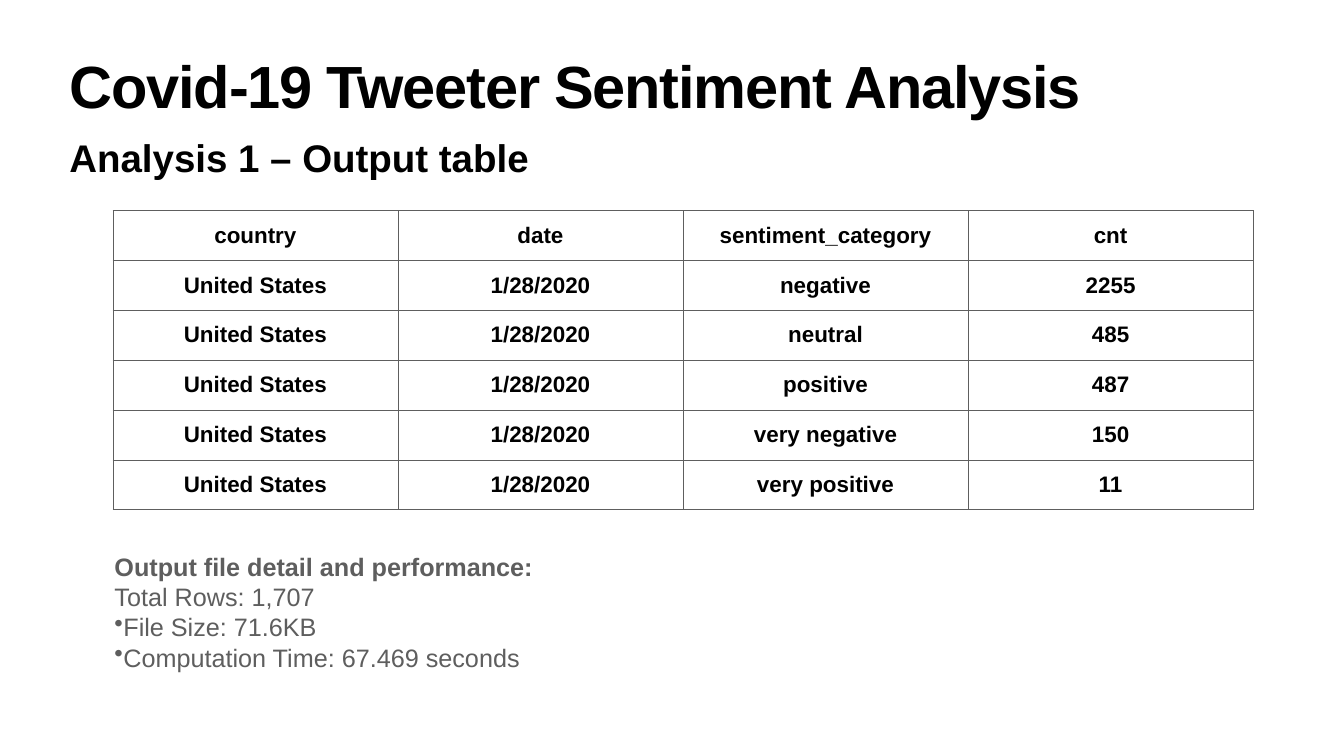
import pptx
import pptx.util
import pptx.dml.color
import pptx.enum.text
import pptx.oxml
import pptx.oxml.ns

PX = 9525
THEME = {
    "font": "Arial",
    "ink": pptx.dml.color.RGBColor.from_string("000000"),
    "grey": pptx.dml.color.RGBColor.from_string("5E5E5E"),
    "title": 85,
    "subtitle": 55,
    "cell": 32,
    "detail": 36,
}
MIDDLE = pptx.enum.text.MSO_ANCHOR.MIDDLE
TOP = pptx.enum.text.MSO_ANCHOR.TOP


def style(paragraph, size, color, bold):
    paragraph.font.color.rgb = color
    formats = {"name": THEME["font"], "size": pptx.util.Pt(size), "bold": bold}
    for key, value in formats.items():
        setattr(paragraph.font, key, value)


def add_text(left, top, width, height, inset, anchor):
    frame = slide.shapes.add_textbox(left * PX, top * PX, width * PX, height * PX).text_frame
    formats = {"word_wrap": True, "vertical_anchor": anchor}
    for side in ("left", "right", "top", "bottom"):
        formats["margin_" + side] = inset * PX
    for key, value in formats.items():
        setattr(frame, key, value)
    return frame


deck = pptx.Presentation()
deck.slide_width = 2560 * PX
deck.slide_height = 1440 * PX
slide = deck.slides.add_slide(deck.slide_layouts[6])

subtitle = add_text(127, 250, 2307, 98, 5, TOP).paragraphs[0]
subtitle.text = "Analysis 1 – Output table"
style(subtitle, THEME["subtitle"], THEME["ink"], True)

title = add_text(127, 113, 2307, 151, 6, TOP).paragraphs[0]
title.text = "Covid-19 Tweeter Sentiment Analysis"
title.line_spacing = 0.8
style(title, THEME["title"], THEME["ink"], True)
title.runs[0].font._element.set("spc", "-170")

counts = [
    ("negative", "2255"),
    ("neutral", "485"),
    ("positive", "487"),
    ("very negative", "150"),
    ("very positive", "11"),
]
rows = [("country", "date", "sentiment_category", "cnt")]
rows += [("United States", "1/28/2020", category, count) for category, count in counts]

COLUMN, ROW = 543, 95
sentiments = slide.shapes.add_table(
    len(rows), 4, 215 * PX, 401 * PX, 4 * COLUMN * PX, len(rows) * ROW * PX
).table
sentiments.first_row = False
sentiments.horz_banding = False
for row, values in enumerate(rows):
    for column, value in enumerate(values):
        cell = sentiments.cell(row, column)
        cell.text = value
        formats = {"vertical_anchor": MIDDLE, "margin_left": 0, "margin_right": 0,
                   "margin_top": 0, "margin_bottom": 0}
        for key, setting in formats.items():
            setattr(cell, key, setting)
        cell.text_frame.paragraphs[0].alignment = pptx.enum.text.PP_ALIGN.CENTER
        style(cell.text_frame.paragraphs[0], THEME["cell"], THEME["ink"], True)
        borders = cell._tc.get_or_add_tcPr()
        for edge in ("lnL", "lnR", "lnT", "lnB"):
            borders.append(pptx.oxml.parse_xml(
                f'<a:{edge} {pptx.oxml.ns.nsdecls("a")} w="12700"><a:solidFill>'
                f'<a:srgbClr val="{THEME["grey"]}"/></a:solidFill></a:{edge}>'))
        cell.fill.background()

details = [
    ("Output file detail and performance:", True, False),
    ("Total Rows: 1,707", False, False),
    ("File Size: 71.6KB", False, True),
    ("Computation Time: 67.469\u00a0seconds".replace("\u00a0", " "), False, True),
]
performance = add_text(212, 1043, 1087, 244, 6, MIDDLE)
for index, (text, bold, bulleted) in enumerate(details):
    line = performance.paragraphs[0] if index == 0 else performance.add_paragraph()
    line.text = text
    if bulleted:
        line._p.get_or_add_pPr().append(pptx.oxml.parse_xml(
            f'<a:buChar {pptx.oxml.ns.nsdecls("a")} char="•"/>'))
    style(line, THEME["detail"], THEME["grey"], bold)

deck.save("out.pptx")
